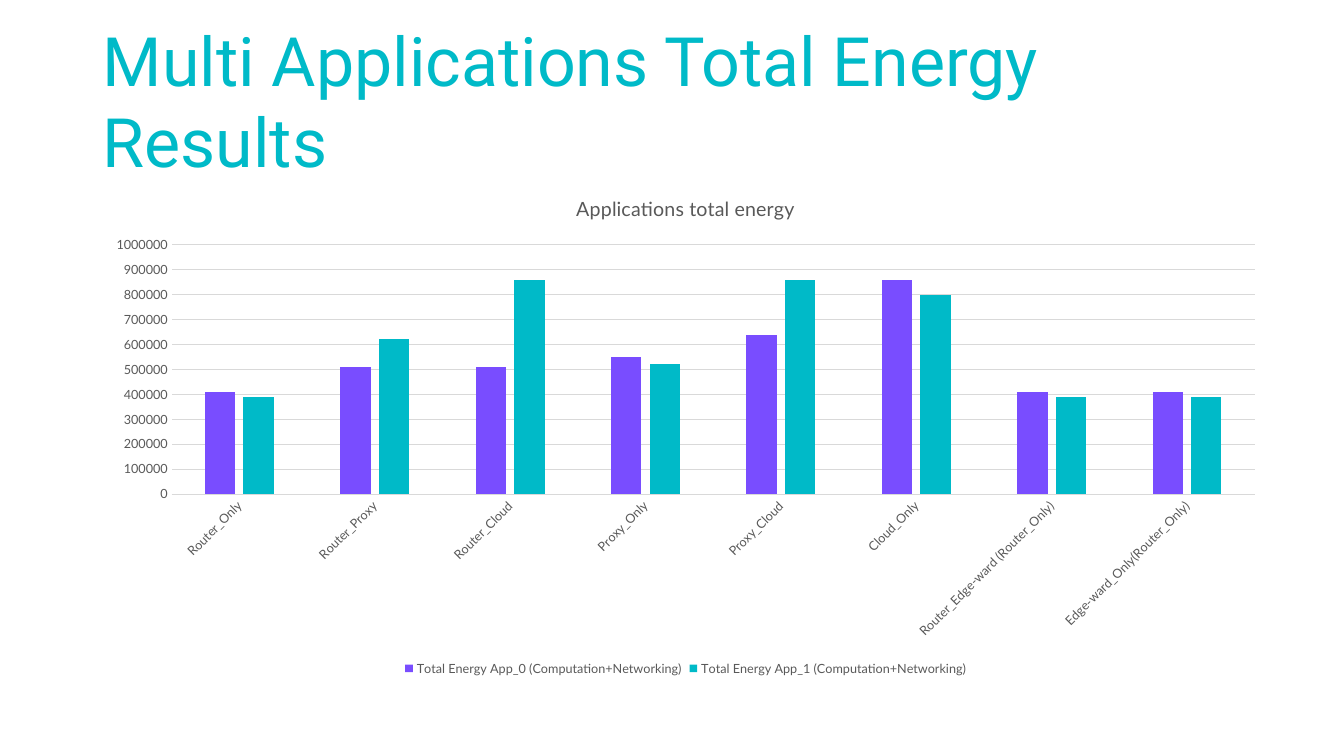
from pptx import Presentation
from pptx.chart.data import CategoryChartData
from pptx.dml.color import RGBColor
from pptx.enum.chart import XL_CHART_TYPE, XL_LEGEND_POSITION, XL_TICK_MARK
from pptx.enum.text import MSO_ANCHOR, PP_ALIGN
from pptx.util import Inches, Pt

COLUMNS = XL_CHART_TYPE.COLUMN_CLUSTERED
BOTTOM = XL_LEGEND_POSITION.BOTTOM
NO_TICK = XL_TICK_MARK.NONE
ANCHOR_BOTTOM = MSO_ANCHOR.BOTTOM
LEFT = PP_ALIGN.LEFT

COLORS = {"teal": "00BAC8", "purple": "794DFF", "text": "595959", "line": "D9D9D9"}

CATEGORIES = [
    "Router_Only", "Router_Proxy", "Router_Cloud", "Proxy_Only", "Proxy_Cloud",
    "Cloud_Only", "Router_Edge-ward (Router_Only)", "Edge-ward_Only(Router_Only)",
]
# Name, colour, energy in thousands
SERIES = [
    ("Total Energy App_0 (Computation+Networking)", "purple",
     [410, 510, 510, 550, 640, 860, 410, 410]),
    ("Total Energy App_1 (Computation+Networking)", "teal",
     [390, 620, 860, 520, 860, 800, 390, 390]),
]


class Deck:
    heading_font = "Roboto"
    chart_font = "Lato"

    def __init__(self, prs):
        self.slide = prs.slides.add_slide(prs.slide_layouts[6])

    def color(self, name):
        return RGBColor.from_string(COLORS[name])

    def style(self, font, name, size, color):
        font.name, font.size, font.bold = name, Pt(size), False
        font.color.rgb = self.color(color)

    def line(self, fmt):
        fmt.line.color.rgb = self.color("line")
        fmt.line.width = Pt(0.75)

    def title(self, text, x, y, w, h):
        box = self.slide.shapes.add_textbox(Inches(x), Inches(y), Inches(w), Inches(h))
        tf = box.text_frame
        tf.word_wrap = True
        tf.vertical_anchor = ANCHOR_BOTTOM
        tf.text = text
        p = tf.paragraphs[0]
        p.alignment = LEFT
        self.style(p.runs[0].font, self.heading_font, 48.6, "teal")

    def column_chart(self, title, categories, series, x, y, w, h):
        data = CategoryChartData()
        data.categories = categories
        for name, _, values in series:
            data.add_series(name, [v * 1000 for v in values])
        chart = self.slide.shapes.add_chart(
            COLUMNS, Inches(x), Inches(y), Inches(w), Inches(h), data).chart
        self.style(chart.font, self.chart_font, 9, "text")

        # Chart title and legend
        chart.has_title = True
        tf = chart.chart_title.text_frame
        tf.text = title
        self.style(tf.paragraphs[0].runs[0].font, self.chart_font, 14, "text")
        chart.chart_title.include_in_layout = False
        chart.has_legend = True
        chart.legend.position = BOTTOM
        chart.legend.include_in_layout = False
        self.style(chart.legend.font, self.chart_font, 9, "text")

        # Axes
        for axis in (chart.category_axis, chart.value_axis):
            axis.major_tick_mark = axis.minor_tick_mark = NO_TICK
            self.style(axis.tick_labels.font, self.chart_font, 9, "text")
        self.line(chart.category_axis.format)
        text_props = chart.category_axis.tick_labels.font._element.getparent().getparent().getparent()
        text_props.bodyPr.set("rot", "-2700000")
        value_axis = chart.value_axis
        value_axis.minimum_scale, value_axis.maximum_scale = 0, 1000000
        value_axis.major_unit = 100000
        value_axis.format.line.fill.background()
        self.line(value_axis.major_gridlines.format)

        # Columns
        plot = chart.plots[0]
        plot.vary_by_categories = False
        plot.gap_width, plot.overlap = 219, -27
        for bars, (_, color, _) in zip(plot.series, series):
            bars.format.fill.solid()
            bars.format.fill.fore_color.rgb = self.color(color)


def main():
    prs = Presentation()
    prs.slide_width, prs.slide_height = Inches(13.33), Inches(7.5)
    deck = Deck(prs)
    deck.title("Multi Applications Total Energy Results", 0.92, 0.4, 11.5, 1.45)
    deck.column_chart("Applications total energy", CATEGORIES, SERIES,
                      0.92, 1.74, 11.76, 5.01)
    prs.save("out.pptx")


if __name__ == "__main__":
    main()
